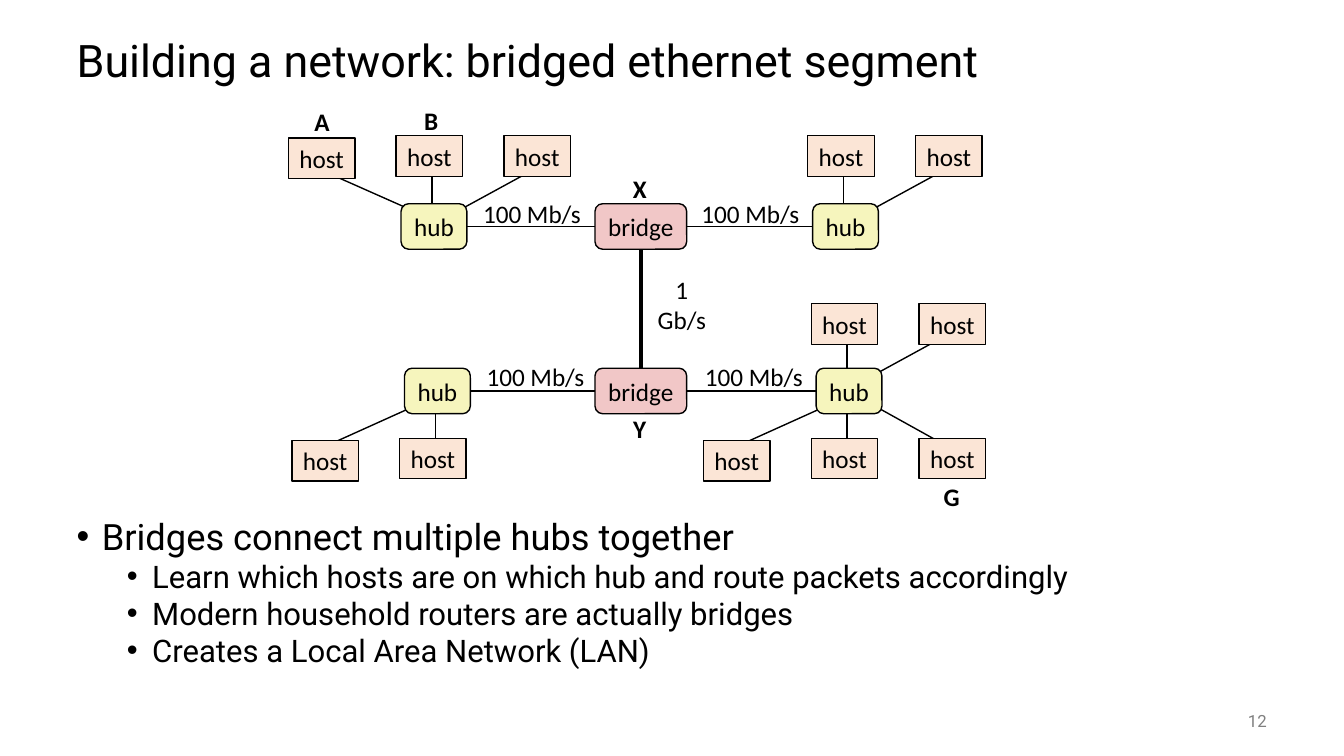
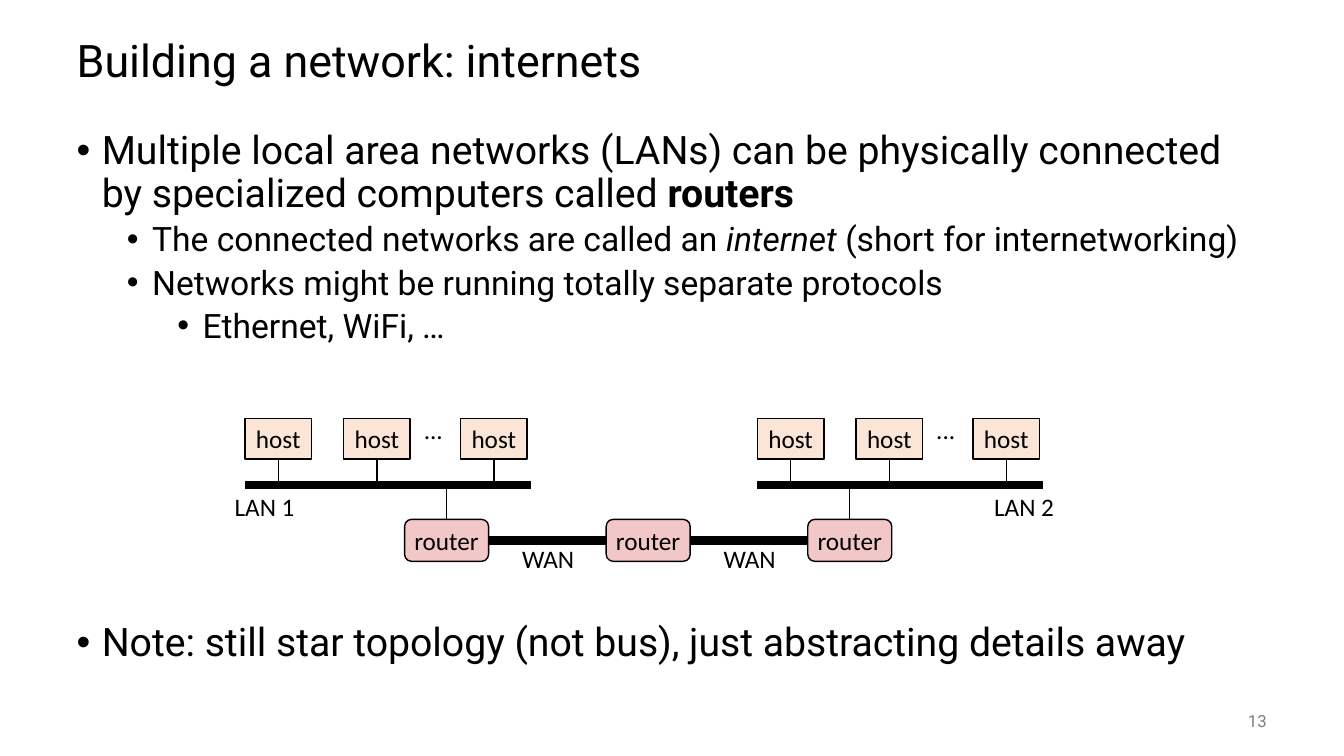
from dataclasses import dataclass

from lxml import etree
from pptx import Presentation
from pptx.dml.color import RGBColor
from pptx.enum import shapes, text
from pptx.oxml import ns
from pptx.util import Pt


@dataclass(frozen=True)
class Theme:
    ink = RGBColor(0x00, 0x00, 0x00)
    muted = RGBColor(0x80, 0x80, 0x80)
    host = RGBColor(0xFB, 0xE5, 0xD6)
    hub = RGBColor(0xF6, 0xF5, 0xBD)
    relay = RGBColor(0xF1, 0xC7, 0xC7)
    text_font = "Roboto"
    diagram_font = "Calibri"
    title_size = Pt(32)
    diagram_size = Pt(18)
    number_size = Pt(12)
    thin = Pt(1)
    trunk = Pt(3)
    bus = Pt(6)


theme = Theme()
RECT = shapes.MSO_SHAPE.RECTANGLE
ROUNDED = shapes.MSO_SHAPE.ROUNDED_RECTANGLE
TOP, LEFT, BOTTOM, RIGHT = range(4)

# kind: outline, fill, width, height
PARTS = {
    "host": (RECT, theme.host, 47.5, 29),
    "hub": (ROUNDED, theme.hub, 47, 32.5),
    "bridge": (ROUNDED, theme.relay, 65.5, 32.5),
    "router": (ROUNDED, theme.relay, 60, 30),
    "rate": (None, None, 86, 29),
    "note": (None, None, 60, 29),
    "tag": (None, None, 25, 29),
}


def add_part(slide, kind, label, left, top):
    """Add a labelled network device, or plain text for kinds without an outline."""
    outline, fill, width, height = PARTS[kind]
    place = Pt(left), Pt(top), Pt(width), Pt(height)
    if outline is None:
        part = slide.shapes.add_textbox(*place)
    else:
        part = slide.shapes.add_shape(outline, *place)
        part.shadow.inherit = False
        part.fill.solid()
        part.fill.fore_color.rgb = fill
        part.line.color.rgb = theme.ink
        part.line.width = theme.thin
    frame = part.text_frame
    frame.word_wrap = False
    frame.vertical_anchor = text.MSO_ANCHOR.MIDDLE
    paragraph = frame.paragraphs[0]
    paragraph.text = label
    paragraph.alignment = text.PP_ALIGN.CENTER
    paragraph.font.name = theme.diagram_font
    paragraph.font.size = theme.diagram_size
    paragraph.font.color.rgb = theme.ink
    paragraph.font.bold = kind == "tag"
    return part


def add_wire(slide, start, end, weight=theme.thin):
    """Each end is an (x, y) point or a (part, side) pair to join."""
    wire = slide.shapes.add_connector(shapes.MSO_CONNECTOR.STRAIGHT, 0, 0, 0, 0)
    if isinstance(start[0], (int, float)):
        wire.begin_x, wire.begin_y = Pt(start[0]), Pt(start[1])
    else:
        wire.begin_connect(*start)
    if isinstance(end[0], (int, float)):
        wire.end_x, wire.end_y = Pt(end[0]), Pt(end[1])
    else:
        wire.end_connect(*end)
    wire.line.color.rgb = theme.ink
    wire.line.width = weight
    etree.SubElement(wire._element.spPr, ns.qn("a:effectLst"))


# Bullets: level, space before, runs of (text, emphasis)
bridged_bullets = [
    (0, 0, [("Bridges connect multiple hubs together", "")]),
    (1, 5, [("Learn which hosts are on which hub and route packets accordingly", "")]),
    (1, 5, [("Modern household routers are actually bridges", "")]),
    (1, 5, [("Creates a Local Area Network (LAN)", "")]),
]
internet_bullets = [
    (0, 0, [("Multiple local area networks (LANs) can be physically connected "
             "by specialized computers called ", ""), ("routers", "bold")]),
    (1, 5, [("The connected networks are called an ", ""), ("internet", "italic"),
            (" (short for internetworking)", "")]),
    (1, 5, [("Networks might be running totally separate protocols", "")]),
    (2, 5, [("Ethernet, WiFi, …", "")]),
    (0, 198, [("Note: still star topology (not bus), just abstracting details away", "")]),
]
# title, body top, body height, line spacing, sizes by level, bullets
contents = [
    ("Building a network: bridged ethernet segment", 370, 116, 0.8,
     (25.9, 22.2), bridged_bullets),
    ("Building a network: internets", 90, 396, 0.9,
     (28, 24, 24), internet_bullets),
]

prs = Presentation()
prs.slide_width, prs.slide_height = Pt(960), Pt(540)

for number, (heading, top, height, spacing, sizes, bullets) in enumerate(contents, 12):
    slide = prs.slides.add_slide(prs.slide_layouts[1])

    title = slide.shapes.title
    title.left, title.top, title.width, title.height = Pt(47.5), Pt(18), Pt(864), Pt(54)
    title.text_frame.auto_size = text.MSO_AUTO_SIZE.NONE
    title.text_frame.vertical_anchor = text.MSO_ANCHOR.MIDDLE
    line = title.text_frame.paragraphs[0]
    line.text = heading
    line.alignment = text.PP_ALIGN.LEFT
    line.line_spacing = 0.9
    line.font.name = theme.text_font
    line.font.size = theme.title_size
    line.font.color.rgb = theme.ink

    body = slide.placeholders[1]
    body.left, body.top, body.width, body.height = Pt(47.5), Pt(top), Pt(864), Pt(height)
    body.text_frame.auto_size = text.MSO_AUTO_SIZE.NONE
    for index, (level, before, runs) in enumerate(bullets):
        frame = body.text_frame
        bullet = frame.add_paragraph() if index else frame.paragraphs[0]
        bullet.level = level
        properties = bullet._p.get_or_add_pPr()
        properties.set("marL", str(Pt(18 + 36 * level)))
        properties.set("indent", str(-Pt(18)))
        etree.SubElement(properties, ns.qn("a:buFont"), typeface="Arial")
        etree.SubElement(properties, ns.qn("a:buChar"), char="•")
        bullet.line_spacing = spacing
        bullet.space_before = Pt(before)
        bullet.font.name = theme.text_font
        bullet.font.size = Pt(sizes[level])
        bullet.font.color.rgb = theme.ink
        for words, emphasis in runs:
            run = bullet.add_run()
            run.text = words
            if emphasis:
                setattr(run.font, emphasis, True)

    footer = slide.shapes.add_textbox(Pt(840), Pt(500.5), Pt(72), Pt(29)).text_frame
    footer.word_wrap = True
    footer.vertical_anchor = text.MSO_ANCHOR.MIDDLE
    page = footer.paragraphs[0]
    page.text = str(number)
    page.alignment = text.PP_ALIGN.RIGHT
    page.font.name = theme.text_font
    page.font.size = theme.number_size
    page.font.color.rgb = theme.muted

bridged, internets = prs.slides

# Bridged ethernet: hosts sit in columns -1, 0 and 1 around their hub
UPPER, LOWER = 145.5, 263
host_rows = [  # hub left, hub top, host top, columns
    (286.5, UPPER, 97, (-1, 0, 1)),
    (580.5, UPPER, 97, (0, 1)),
    (289, LOWER, 313, (-1, 0)),
    (583, LOWER, 217, (0, 1)),
    (583, LOWER, 313, (-1, 0, 1)),
]
spokes = {-1: (-57, 9.5), 0: (22, 22), 1: (94, 40)}  # x at host, x at hub
for hub_left, hub_top, host_top, columns in host_rows:
    host_y, hub_y = (-24, 5.5) if host_top < hub_top else (56, 26)
    for column in columns:
        host_x, hub_x = spokes[column]
        add_wire(bridged, (hub_left + host_x, hub_top + host_y),
                 (hub_left + hub_x, hub_top + hub_y))
        drop = 1.5 if column == -1 else 0
        add_part(bridged, "host", "host", hub_left - 3.5 + 77 * column, host_top + drop)

bridges = []
for row_top, left_hub_x, right_hub_x, rate_top in [
    (UPPER, 286.5, 580.5, 138),
    (LOWER, 289, 583, 254),
]:
    left_hub = add_part(bridged, "hub", "hub", left_hub_x, row_top)
    right_hub = add_part(bridged, "hub", "hub", right_hub_x, row_top)
    bridge = add_part(bridged, "bridge", "bridge", 425, row_top)
    add_wire(bridged, (left_hub, RIGHT), (bridge, LEFT))
    add_wire(bridged, (bridge, RIGHT), (right_hub, LEFT))
    for rate_left in (left_hub_x + 50.5, left_hub_x + 206.5):
        add_part(bridged, "rate", "100 Mb/s", rate_left, rate_top)
    bridges.append(bridge)
add_wire(bridged, (bridges[0], BOTTOM), (bridges[1], TOP), theme.trunk)
add_part(bridged, "note", "1 Gb/s", 457, 203)

for letter, left, top in [("A", 217.5, 72), ("B", 295.5, 71.5), ("G", 667, 340),
                          ("X", 444.5, 120), ("Y", 444.5, 291.5)]:
    add_part(bridged, "tag", letter, left, top)

# Internets: two LAN buses joined through a chain of routers
BUS_Y = 346.5
for lan_left, lan_name, name_left in [(175, "LAN 1", 159), (541, "LAN 2", 701.5)]:
    add_wire(internets, (lan_left, BUS_Y), (lan_left + 204, BUS_Y), theme.bus)
    for offset in (0, 70.5, 154):
        host = add_part(internets, "host", "host", lan_left + offset, 299)
        add_wire(internets, (host, BOTTOM), (lan_left + offset + 23.75, BUS_Y))
    add_part(internets, "note", "...", lan_left + 104.5, 292.5)
    add_part(internets, "note", lan_name, name_left, 347.5)

ROUTER_LEFT, ROUTER_PITCH = 289, 144
routers = [add_part(internets, "router", "router", ROUTER_LEFT + ROUTER_PITCH * i, 371)
           for i in range(3)]
for i in (0, 2):
    add_wire(internets, (ROUTER_LEFT + ROUTER_PITCH * i + 30, BUS_Y), (routers[i], TOP))
for i in range(2):
    add_wire(internets, (routers[i], RIGHT), (routers[i + 1], LEFT), theme.bus)
    add_part(internets, "note", "WAN", ROUTER_LEFT + ROUTER_PITCH * i + 72.5, 384.5)

prs.save("out.pptx")
